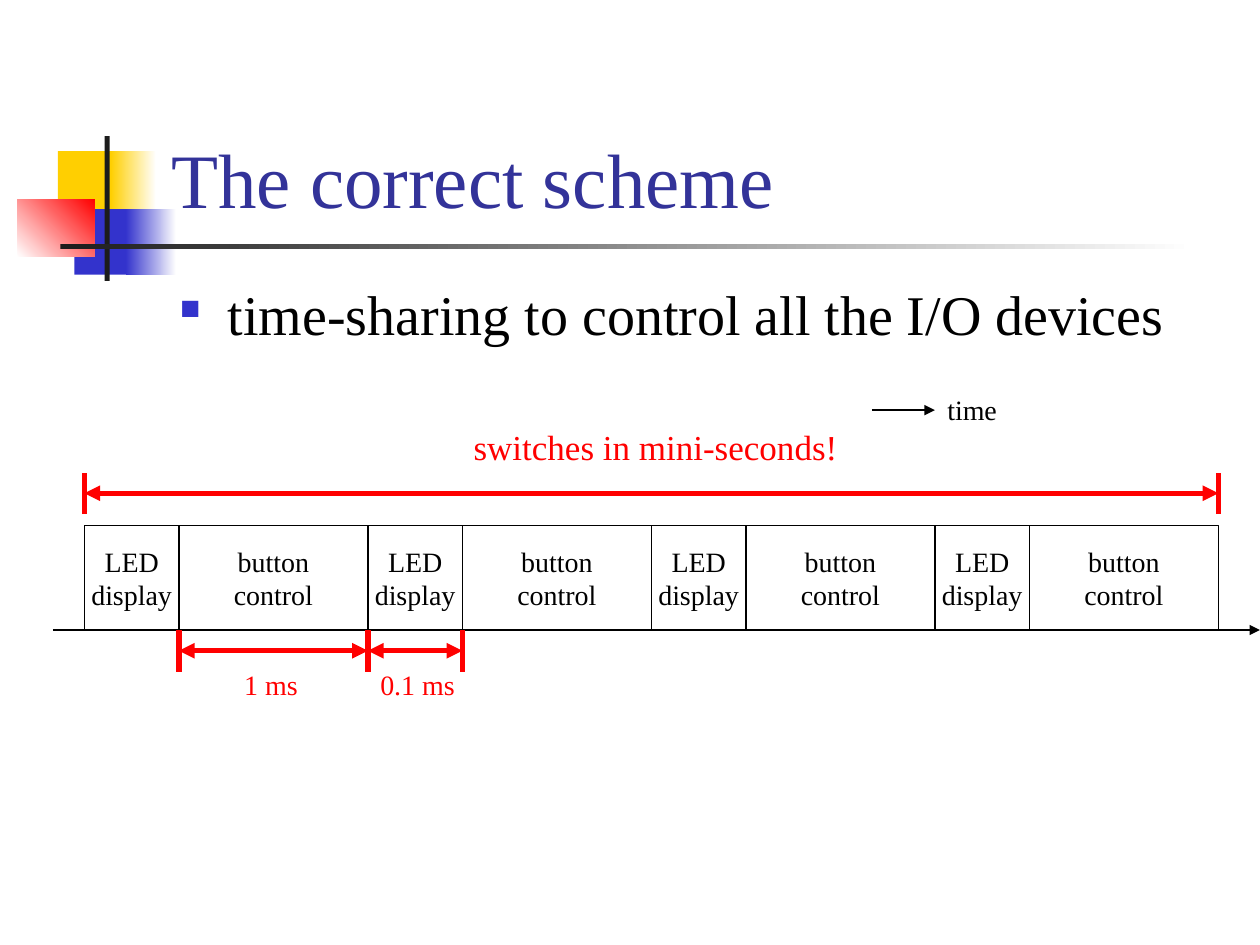
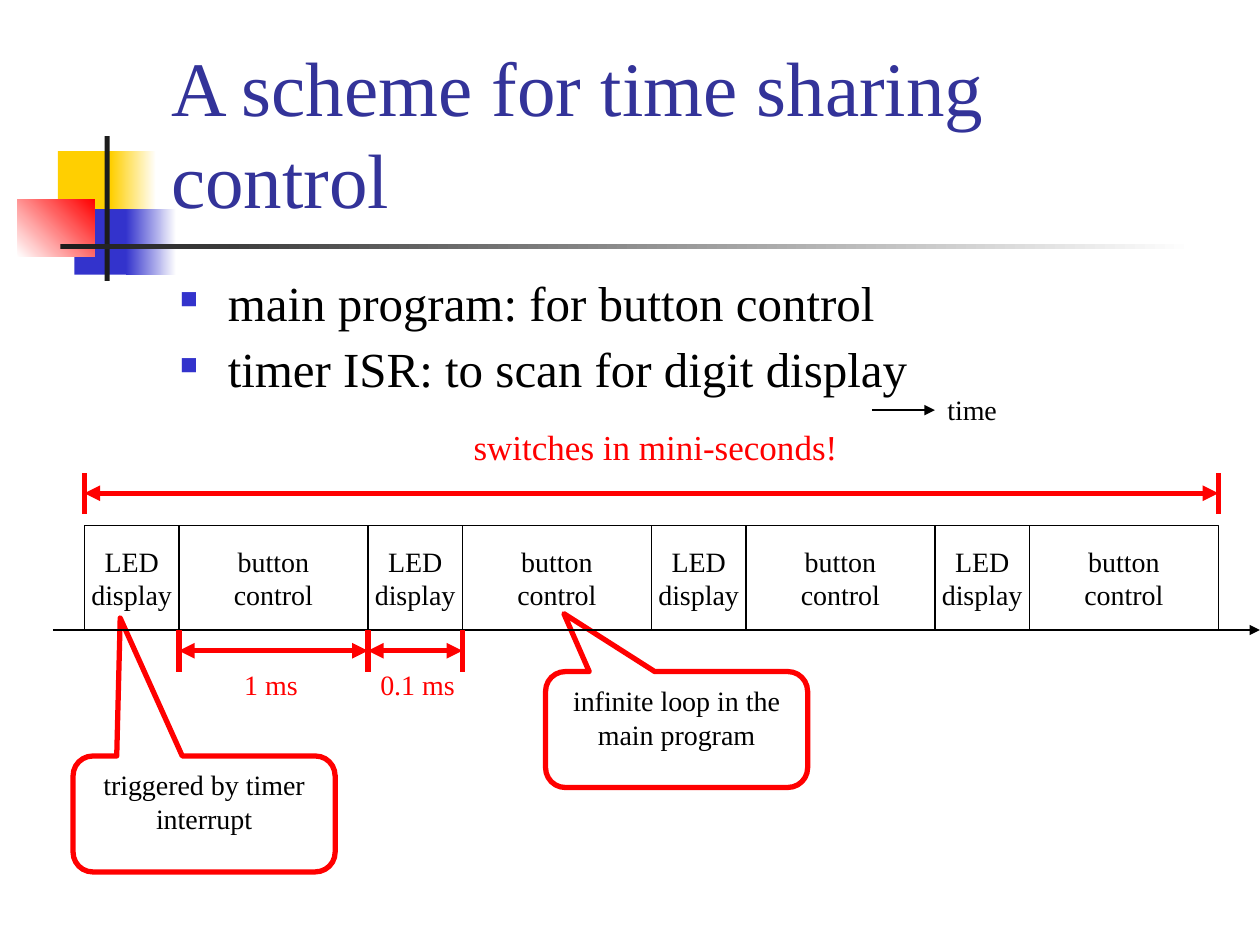
from dataclasses import dataclass
from itertools import accumulate

from lxml.etree import SubElement
from pptx import Presentation
from pptx.dml.color import RGBColor
from pptx.enum.shapes import MSO_CONNECTOR, MSO_SHAPE
from pptx.enum.text import MSO_ANCHOR, MSO_AUTO_SIZE, PP_ALIGN
from pptx.oxml.ns import qn
from pptx.shapes.autoshape import Shape
from pptx.shapes.connector import Connector
from pptx.slide import Slide
from pptx.util import Inches, Pt

FONT = "Times New Roman"
BLACK, WHITE, RED = "000000", "FFFFFF", "FF0000"
YELLOW, BLUE, CHARCOAL, TITLE_BLUE = "FFCF01", "3333CC", "1C1C1C", "333399"

TIMELINE_LEFT, TIMELINE_TOP, SLOT_HEIGHT = 0.67, 4.17, 0.83
TIMELINE_BOTTOM = TIMELINE_TOP + SLOT_HEIGHT
LED_WIDTH, BUTTON_WIDTH, CYCLES = 0.75, 1.5, 4
SLOTS = [("LED\ndisplay", LED_WIDTH), ("button\ncontrol", BUTTON_WIDTH)] * CYCLES
EDGES = list(accumulate((width for _, width in SLOTS), initial=TIMELINE_LEFT))


@dataclass(frozen=True)
class Box:
    left: float
    top: float
    width: float
    height: float

    def lengths(self) -> list[int]:
        return [Inches(n) for n in (self.left, self.top, self.width, self.height)]


@dataclass(frozen=True)
class Band:
    box: Box
    color: str
    end_color: str = ""
    angle: float = 0


@dataclass(frozen=True)
class Label:
    text: str
    box: Box
    size: int = 16
    color: str = RED


@dataclass(frozen=True)
class Span:
    """A measured stretch: end ticks, a double arrow and a label."""
    left: float
    right: float
    tick_top: float
    label: Label


@dataclass(frozen=True)
class Callout:
    text: str
    box: Box
    tip: tuple[float, float]


@dataclass(frozen=True)
class Page:
    title: str
    bullets: list[str]
    body: Box
    size: int
    line_spacing: float
    space_before: int
    callouts: list[Callout]


BANDS = [
    Band(Box(0.46, 1.2, 0.48, 0.52), YELLOW),
    Band(Box(0.88, 1.2, 0.36, 0.52), YELLOW, WHITE),
    Band(Box(0.59, 1.66, 0.46, 0.52), BLUE),
    Band(Box(1, 1.66, 0.4, 0.52), BLUE, WHITE),
    Band(Box(0.14, 1.58, 0.61, 0.46), WHITE, RED, 45),
    Band(Box(0.83, 1.08, 0.04, 1.15), CHARCOAL),
    Band(Box(0.48, 1.94, 9, 0.04), CHARCOAL, WHITE),
]
TITLE_BOX = Box(1.26, 0.23, 8.52, 1.6)
SPANS = [
    Span(EDGES[0], EDGES[-1], 3.75,
         Label("switches in mini-seconds!", Box(3.66, 3.33, 3.09, 0.44), 20)),
    Span(EDGES[1], EDGES[2], TIMELINE_BOTTOM,
         Label("1 ms", Box(1.84, 5.25, 0.64, 0.37))),
    Span(EDGES[2], EDGES[3], TIMELINE_BOTTOM,
         Label("0.1 ms", Box(2.92, 5.25, 0.8, 0.37))),
]
TICK_HEIGHT = 0.33
TIME_LABEL = Label("time", Box(7.42, 3.07, 0.61, 0.37), color=BLACK)

PAGES = [
    Page("The correct scheme", ["time-sharing to control all the I/O devices"],
         Box(1.33, 2.17, 8.5, 0.92), 32, 1.0, 8, []),
    Page("A scheme for time sharing control",
         ["main program: for button control", "timer ISR: to scan for digit display"],
         Box(1.33, 2.17, 8.5, 1.08), 28, 0.9, 7,
         [Callout("infinite loop in the main program",
                  Box(4.33, 5.33, 2.08, 0.92), (-0.43, -1.0)),
          Callout("triggered by timer interrupt",
                  Box(0.58, 6, 2.08, 0.92), (-0.32, -1.69))]),
]


def rgb(color: str) -> RGBColor:
    return RGBColor.from_string(color)


def write(shape: Shape, text: str, size: int, color: str, wrap: bool = True,
          anchor: MSO_ANCHOR = MSO_ANCHOR.TOP,
          align: PP_ALIGN = PP_ALIGN.LEFT) -> None:
    frame = shape.text_frame
    frame.text = text
    frame.word_wrap = wrap
    frame.vertical_anchor = anchor
    for paragraph in frame.paragraphs:
        paragraph.alignment = align
        for run in paragraph.runs:
            run.font.name = FONT
            run.font.size = Pt(size)
            run.font.color.rgb = rgb(color)


def add_preset(slide: Slide, kind: MSO_SHAPE, box: Box) -> Shape:
    shape = slide.shapes.add_shape(kind, *box.lengths())
    shape.shadow.inherit = False
    return shape


def outline(shape: Shape | Connector, color: str, width: float) -> None:
    shape.line.color.rgb = rgb(color)
    shape.line.width = Pt(width)


def add_label(slide: Slide, label: Label) -> Shape:
    shape = slide.shapes.add_textbox(*label.box.lengths())
    write(shape, label.text, label.size, label.color, wrap=False)
    shape.text_frame.auto_size = MSO_AUTO_SIZE.SHAPE_TO_FIT_TEXT
    return shape


def add_line(slide: Slide, start: tuple[float, float], end: tuple[float, float],
             color: str = BLACK, width: float = 0.75,
             arrows: tuple[str, ...] = ()) -> Connector:
    """Draw a line; arrows names the ends with a head: headEnd, tailEnd."""
    points = [Inches(n) for n in (*start, *end)]
    connector = slide.shapes.add_connector(MSO_CONNECTOR.STRAIGHT, *points)
    outline(connector, color, width)
    properties = connector._element.spPr
    for arrow in arrows:
        SubElement(properties.find(qn("a:ln")), qn(f"a:{arrow}"), type="triangle")
    SubElement(properties, qn("a:effectLst"))
    return connector


def add_band(slide: Slide, band: Band) -> None:
    shape = add_preset(slide, MSO_SHAPE.RECTANGLE, band.box)
    shape.line.fill.background()
    if not band.end_color:
        shape.fill.solid()
        shape.fill.fore_color.rgb = rgb(band.color)
        return
    shape.fill.gradient()
    shape.fill.gradient_angle = band.angle
    for stop, color in zip(shape.fill.gradient_stops, (band.color, band.end_color)):
        stop.color.rgb = rgb(color)


def add_title(slide: Slide, title: str) -> None:
    shape = slide.shapes.add_textbox(*TITLE_BOX.lengths())
    write(shape, title, 44, TITLE_BLUE, anchor=MSO_ANCHOR.BOTTOM)


def add_bullets(slide: Slide, page: Page) -> None:
    shape = slide.shapes.add_textbox(*page.body.lengths())
    write(shape, "\n".join(page.bullets), page.size, BLACK)
    for index, paragraph in enumerate(shape.text_frame.paragraphs):
        properties = paragraph._p.get_or_add_pPr()
        properties.set("marL", str(Inches(0.38)))
        properties.set("indent", str(Inches(-0.38)))
        bullet_color = SubElement(properties, qn("a:buClr"))
        SubElement(bullet_color, qn("a:srgbClr"), val=BLUE)
        SubElement(properties, qn("a:buSzPct"), val="50000")
        SubElement(properties, qn("a:buChar"), char="■")
        paragraph.line_spacing = page.line_spacing
        if index:
            paragraph.space_before = Pt(page.space_before)


def add_callout(slide: Slide, callout: Callout) -> None:
    shape = add_preset(slide, MSO_SHAPE.ROUNDED_RECTANGULAR_CALLOUT, callout.box)
    for index, value in enumerate((*callout.tip, 0.17)):
        shape.adjustments[index] = value
    shape.fill.solid()
    shape.fill.fore_color.rgb = rgb(WHITE)
    outline(shape, RED, 3)
    write(shape, callout.text, 16, BLACK, align=PP_ALIGN.CENTER)


def add_span(slide: Slide, span: Span) -> None:
    for x in (span.left, span.right):
        add_line(slide, (x, span.tick_top + TICK_HEIGHT), (x, span.tick_top), RED, 3)
    middle = span.tick_top + TICK_HEIGHT / 2
    add_line(slide, (span.left, middle), (span.right, middle), RED, 3,
             ("headEnd", "tailEnd"))
    add_label(slide, span.label)


def add_timeline(slide: Slide) -> None:
    add_line(slide, (0.42, TIMELINE_BOTTOM), (10, TIMELINE_BOTTOM),
             arrows=("tailEnd",))
    for left, (text, width) in zip(EDGES, SLOTS):
        slot = add_preset(slide, MSO_SHAPE.RECTANGLE,
                          Box(left, TIMELINE_TOP, width, SLOT_HEIGHT))
        slot.fill.background()
        outline(slot, BLACK, 0.75)
        write(slot, text, 16, BLACK, False, MSO_ANCHOR.MIDDLE, PP_ALIGN.CENTER)
    for span in SPANS:
        add_span(slide, span)


def add_time_direction(slide: Slide) -> None:
    label = add_label(slide, TIME_LABEL)
    box = TIME_LABEL.box
    middle = box.top + box.height / 2
    arrow = add_line(slide, (box.left - 0.5, middle), (box.left, middle),
                     arrows=("tailEnd",))
    arrow.end_connect(label, 1)


def main() -> None:
    presentation = Presentation()
    presentation.slide_width = Inches(10)
    presentation.slide_height = Inches(7.5)
    for page in PAGES:
        slide = presentation.slides.add_slide(presentation.slide_layouts[6])
        for band in BANDS:
            add_band(slide, band)
        add_title(slide, page.title)
        add_bullets(slide, page)
        for callout in page.callouts:
            add_callout(slide, callout)
        add_timeline(slide)
        add_time_direction(slide)
    presentation.save("out.pptx")


if __name__ == "__main__":
    main()
